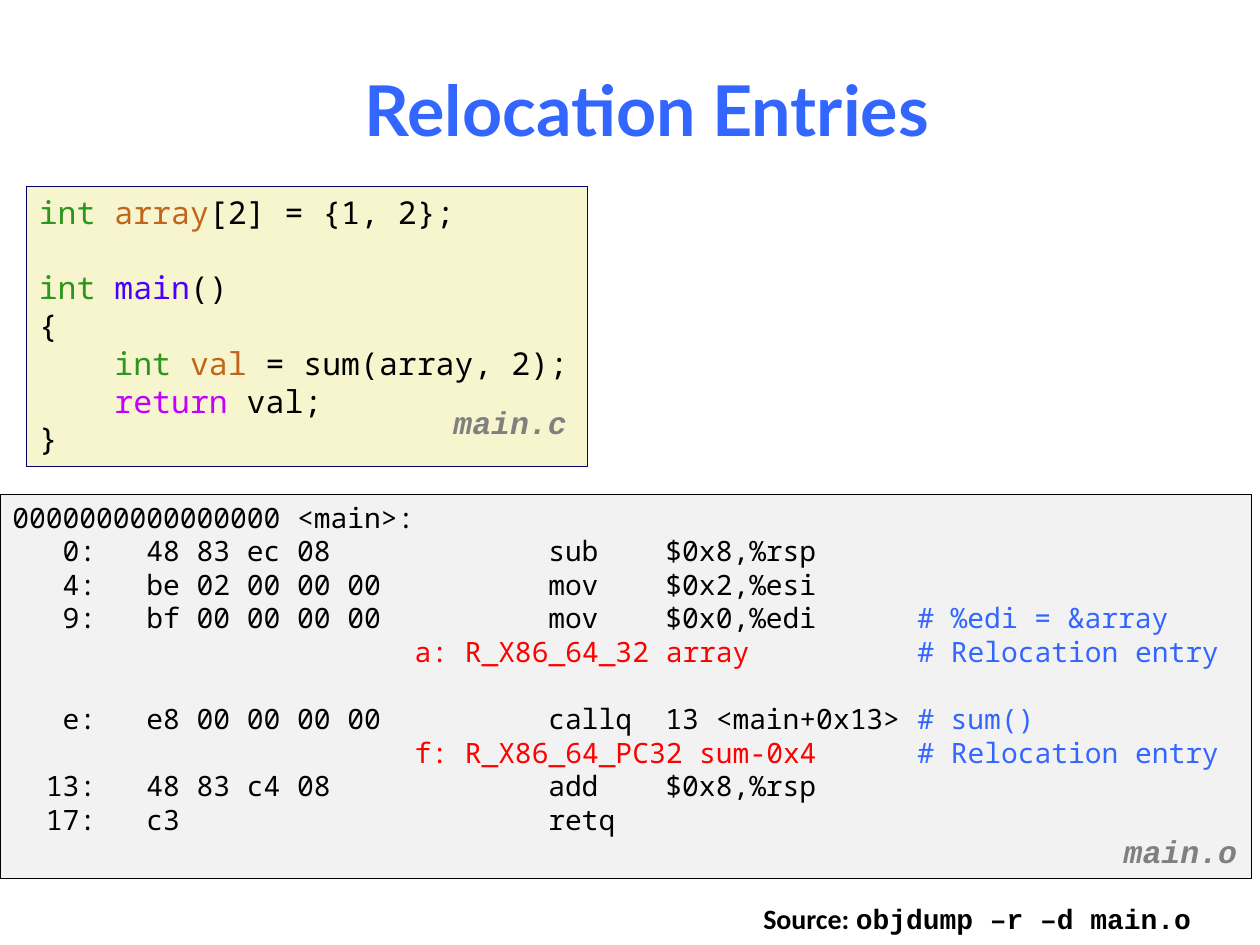
from lxml.etree import SubElement
from pptx import Presentation
from pptx.dml.color import RGBColor
from pptx.enum.shapes import MSO_SHAPE as Shape
from pptx.enum.text import MSO_ANCHOR as Anchor, MSO_AUTO_SIZE as Fit, PP_ALIGN as Align
from pptx.oxml.ns import qn
from pptx.util import Inches, Pt

BLACK = RGBColor(0x00, 0x00, 0x00)
BLUE = RGBColor(0x33, 0x66, 0xFF)
RED = RGBColor(0xFF, 0x00, 0x00)
GRAY = RGBColor(0x80, 0x80, 0x80)
PALE = RGBColor(0xF2, 0xF2, 0xF2)
CREAM = RGBColor(0xF7, 0xF5, 0xCD)
NAVY = RGBColor(0x00, 0x00, 0x66)
GREEN = RGBColor(0x2D, 0x96, 0x1E)
BROWN = RGBColor(0xC1, 0x65, 0x1C)
INDIGO = RGBColor(0x4A, 0x00, 0xFF)
PURPLE = RGBColor(0xC2, 0x00, 0xFF)

MONO = "Noto Sans Mono"
COURIER = "Courier New"

INT = ("int ", GREEN)
TAB = ("    ", BLACK)
INDENT = (" " * 24, BLACK)
ENTRY = ("# Relocation entry", BLUE)

SOURCE = [
    [INT, ("array", BROWN), ("[2] = {1, 2};", BLACK)],
    [],
    [INT, ("main", INDIGO), ("()", BLACK)],
    [("{", BLACK)],
    [TAB, INT, ("val", BROWN), (" = sum(array, 2);", BLACK)],
    [TAB, ("return", PURPLE), (" val;", BLACK)],
    [("}", BLACK)],
]
LISTING = [
    [("0000000000000000 <main>:", BLACK)],
    [("   0:   48 83 ec 08             sub    $0x8,%rsp", BLACK)],
    [("   4:   be 02 00 00 00          mov    $0x2,%esi", BLACK)],
    [("   9:   bf 00 00 00 00          mov    $0x0,%edi      ", BLACK),
     ("# %edi = &array", BLUE)],
    [INDENT, ("a: R_X86_64_32 array          ", RED), ENTRY],
    [],
    [("   e:   e8 00 00 00 00          callq  13 <main+0x13> ", BLACK),
     ("# sum()", BLUE)],
    [INDENT, ("f: R_X86_64_PC32 sum-0x4      ", RED), ENTRY],
    [("  13:   48 83 c4 08             add    $0x8,%rsp", BLACK)],
    [("  17:   c3                      retq", BLACK)],
]


def style(run, name, size, color, bold=False, italic=False):
    font = run.font
    font.name, font.size = name, Pt(size)
    font.bold, font.italic = bold, italic
    font.color.rgb = color


def add_run(para, text, *look, **marks):
    run = para.add_run()
    run.text = text
    style(run, *look, **marks)


def set_title(slide, text):
    title = slide.shapes.title
    title.left, title.top = Inches(0.37), Inches(0.49)
    title.width, title.height = Inches(9.53), Inches(0.86)
    frame = title.text_frame
    frame.text = text
    frame.auto_size = Fit.NONE
    frame.vertical_anchor = Anchor.MIDDLE
    para = frame.paragraphs[0]
    para.alignment = Align.CENTER
    para.line_spacing = 0.82
    style(para.runs[0], "Lato", 40, BLUE, bold=True)


def add_code(slide, box, lines, size, fill, edge):
    """Draw a filled box of code; each line is a list of (text, colour)."""
    shape = slide.shapes.add_shape(Shape.RECTANGLE, *map(Inches, box))
    shape.shadow.inherit = False
    shape.fill.solid()
    shape.fill.fore_color.rgb = fill
    shape.line.color.rgb = edge
    shape.line.width = Pt(0.25)
    frame = shape.text_frame
    frame.word_wrap = True
    frame.vertical_anchor = Anchor.TOP
    for i, line in enumerate(lines):
        para = frame.add_paragraph() if i else frame.paragraphs[0]
        para.alignment = Align.LEFT
        para.line_spacing = Pt(1.2 * size)
        for text, color in line:
            add_run(para, text, MONO, size, color)
        if not line:
            end = SubElement(para._p, qn("a:endParaRPr"), sz=str(size * 100))
            SubElement(end, qn("a:latin"), typeface=MONO)


def add_label(slide, box, spacing):
    """Add an empty one-line text box and return its paragraph."""
    frame = slide.shapes.add_textbox(*map(Inches, box)).text_frame
    frame.word_wrap = True
    para = frame.paragraphs[0]
    para.line_spacing = spacing
    return para


def add_file(slide, left, top, name):
    para = add_label(slide, (left, top, 1.17, 0.39), 0.94)
    add_run(para, name, COURIER, 18, GRAY, bold=True, italic=True)


def add_credit(slide):
    para = add_label(slide, (5.96, 7.12, 3.64, 0.37), 0.98)
    add_run(para, "Source: ", "Calibri", 16, BLACK, bold=True)
    add_run(para, "objdump –r –d main.o", COURIER, 16, BLACK, bold=True)


def main():
    deck = Presentation()
    deck.slide_width, deck.slide_height = Inches(10), Inches(7.5)
    slide = deck.slides.add_slide(deck.slide_layouts[5])
    set_title(slide, "Relocation Entries")
    add_credit(slide)
    add_code(slide, (0, 3.92, 9.93, 3.05), LISTING, 16, PALE, BLACK)
    add_file(slide, 8.82, 6.58, "main.o")
    add_code(slide, (0.21, 1.48, 4.45, 2.22), SOURCE, 18, CREAM, NAVY)
    add_file(slide, 3.5, 3.17, "main.c")
    deck.save("out.pptx")


if __name__ == "__main__":
    main()
